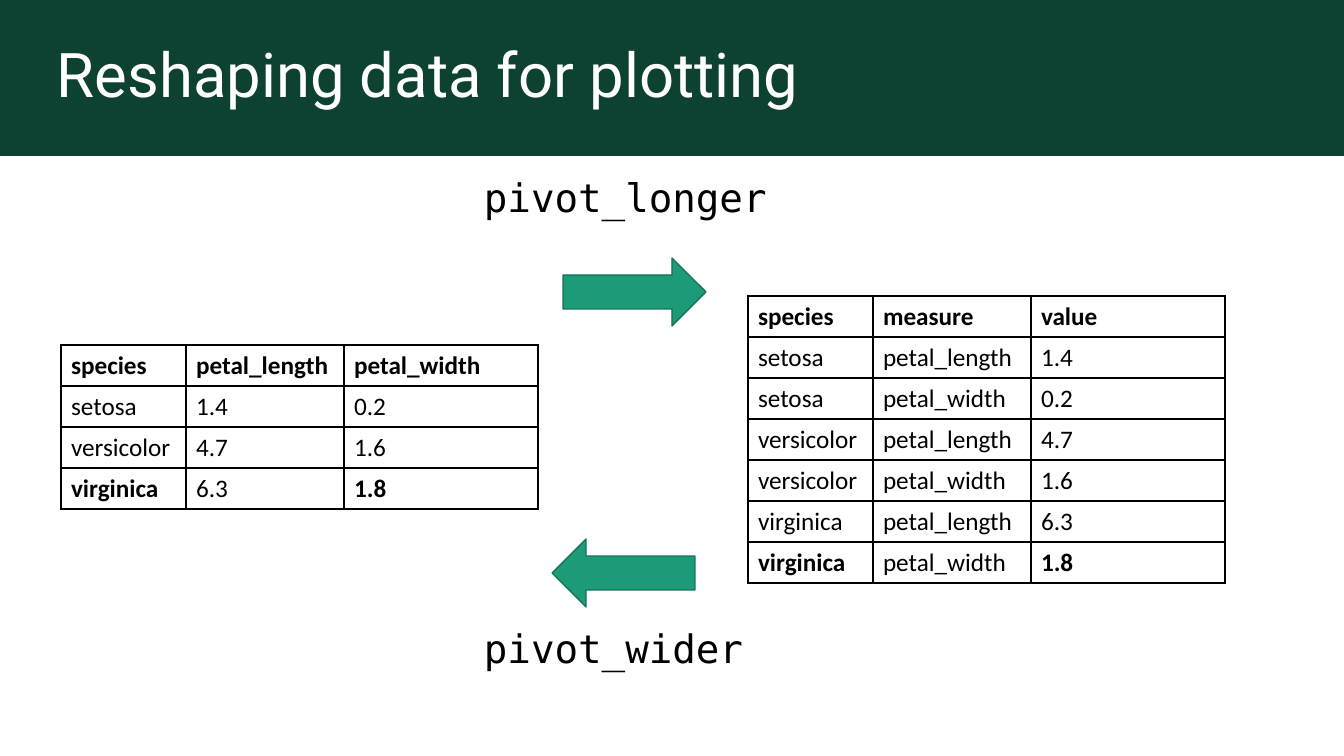
from lxml.etree import SubElement
from pptx import Presentation
from pptx.dml.color import RGBColor
from pptx.enum.shapes import MSO_SHAPE
from pptx.enum.text import MSO_ANCHOR
from pptx.oxml import parse_xml
from pptx.oxml.ns import nsdecls
from pptx.util import Emu, Pt

THEME = {
    "banner": "0D4233", "banner_line": "0D4335",
    "arrow": "1D9A78", "arrow_line": "157259",
    "white": "FFFFFF", "black": "000000",
    "title_font": "Roboto", "code_font": "DejaVu Sans Mono", "table_font": "Calibri",
    "title_size": 44, "code_size": 28, "table_size": 18,
}
PX = 914400 / 100.8


def px(*lengths):
    return [Emu(round(n * PX)) for n in lengths]


def write(tf, text, font, size, color="black", bold=False, spacing=None):
    p = tf.paragraphs[0]
    if spacing:
        p.line_spacing = spacing
    r = p.add_run()
    r.text = text
    r.font.name = THEME[font]
    r.font.size = Pt(THEME[size])
    r.font.bold = bold
    r.font.color.rgb = RGBColor.from_string(THEME[color])


prs = Presentation()
prs.slide_width, prs.slide_height = px(1344, 756)
slide = prs.slides.add_slide(prs.slide_layouts[6])

# Banner and arrows
for kind, box, turn, color in [
    (MSO_SHAPE.RECTANGLE, (0, 0, 1344, 155), 0, "banner"),
    (MSO_SHAPE.RIGHT_ARROW, (563, 258, 143, 68), 0, "arrow"),
    (MSO_SHAPE.RIGHT_ARROW, (552, 539, 143, 68), 180, "arrow"),
]:
    sp = slide.shapes.add_shape(kind, *px(*box))
    sp.rotation = turn
    sp.shadow.inherit = False
    sp.fill.solid()
    sp.fill.fore_color.rgb = RGBColor.from_string(THEME[color])
    sp.line.color.rgb = RGBColor.from_string(THEME[color + "_line"])
    sp.line.width = Pt(1)

# Title and function names
for text, box, anchor, style in [
    ("Reshaping data for plotting", (47, 0, 1297, 155), MSO_ANCHOR.MIDDLE,
     {"font": "title_font", "size": "title_size", "color": "white"}),
    ("pivot_longer", (474, 174, 368, 53), MSO_ANCHOR.TOP,
     {"font": "code_font", "size": "code_size"}),
    ("pivot_wider", (474, 625, 318, 53), MSO_ANCHOR.TOP,
     {"font": "code_font", "size": "code_size"}),
]:
    tf = slide.shapes.add_textbox(*px(*box)).text_frame
    tf.word_wrap = True
    tf.vertical_anchor = anchor
    write(tf, text, spacing=0.9, **style)

# Wide and long tables
wide = [
    ("species", "petal_length", "petal_width"),
    ("setosa", "1.4", "0.2"),
    ("versicolor", "4.7", "1.6"),
    ("virginica", "6.3", "1.8"),
]
long = [("species", "measure", "value")]
for species, *values in wide[1:]:
    long += [(species, name, value) for name, value in zip(wide[0][1:], values)]

COL_WIDTHS = px(125, 158, 194)
ROW_HEIGHT = 41
for rows, left, top in [(wide, 61, 345), (long, 748, 296)]:
    frame = slide.shapes.add_table(
        len(rows), 3, *px(left, top, 477, ROW_HEIGHT * len(rows)))
    table = frame.table
    table.first_row = table.horz_banding = False
    for col, width in zip(table.columns, COL_WIDTHS):
        col.width = width
    for i, values in enumerate(rows):
        table.rows[i].height = px(ROW_HEIGHT)[0]
        for j, value in enumerate(values):
            cell = table.cell(i, j)
            # The header row and the outer cells of the last row are bold
            bold = i == 0 or (i == len(rows) - 1 and j != 1)
            write(cell.text_frame, value, "table_font", "table_size", bold=bold)
            cell.fill.background()
            tcPr = cell._tc.get_or_add_tcPr()
            for n, side in enumerate("LRTB"):
                ln = parse_xml(f'<a:ln{side} {nsdecls("a")} w="{Pt(1)}"/>')
                fill = SubElement(ln, f"{{{ln.nsmap['a']}}}solidFill")
                SubElement(fill, f"{{{ln.nsmap['a']}}}srgbClr", val=THEME["black"])
                tcPr.insert(n, ln)

prs.save("out.pptx")
